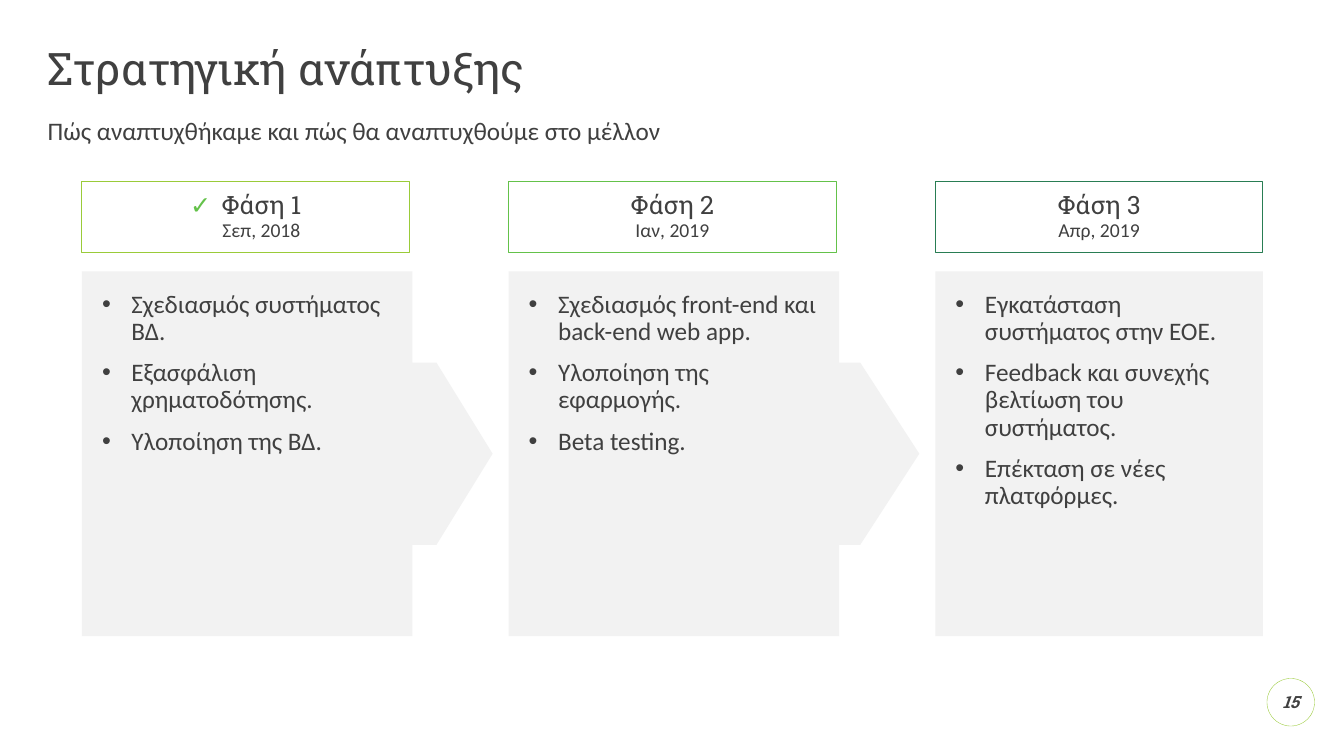
from lxml.etree import SubElement
from pptx import Presentation
from pptx.dml.color import RGBColor
from pptx.enum.shapes import MSO_SHAPE
from pptx.enum.text import MSO_ANCHOR, PP_ALIGN
from pptx.oxml.ns import qn
from pptx.util import Pt

COLORS = {"text": "404040", "panel": "F2F2F2", "lime": "9ACB39",
          "green": "64C24A", "forest": "297D53"}
HEAD_FONT, BODY_FONT = "Roboto Slab", "Calibri"

PHASES = [
    {"name": "Φάση 1", "date": "Σεπ, 2018", "line": "lime", "done": True,
     "head": 0.154,
     "steps": ["Σχεδιασμός συστήματος ΒΔ.", "Εξασφάλιση χρηματοδότησης.",
               "Υλοποίηση της ΒΔ."]},
    {"name": "Φάση 2", "date": "Ιαν, 2019", "line": "green", "done": False,
     "head": 0.162,
     "steps": ["Σχεδιασμός front-end και back-end web app.",
               "Υλοποίηση της εφαρμογής.", "Beta testing."]},
    {"name": "Φάση 3", "date": "Απρ, 2019", "line": "forest", "done": False,
     "head": None,
     "steps": ["Εγκατάσταση συστήματος στην ΕΟΕ.",
               "Feedback και συνεχής βελτίωση του συστήματος.",
               "Επέκταση σε νέες πλατφόρμες."]},
]


def rgb(name):
    return RGBColor.from_string(COLORS[name])


def set_all(obj, **values):
    for name, value in values.items():
        setattr(obj, name, value)


def set_frame(tf, anchor=MSO_ANCHOR.TOP, left=0, top=0, right=0):
    set_all(tf, word_wrap=True, vertical_anchor=anchor, margin_left=Pt(left),
            margin_top=Pt(top), margin_right=Pt(right), margin_bottom=0)


def add_run(p, text, font, size, **style):
    r = p.add_run()
    r.text = text
    set_all(r.font, name=font, size=Pt(size), **style)
    r.font.color.rgb = rgb("text")


def set_bullet(p, char, indent, color=None):
    pPr = p._p.get_or_add_pPr()
    pPr.set("marL", str(Pt(indent)))
    pPr.set("indent", str(-Pt(indent)))
    if color:
        clr = SubElement(pPr, qn("a:buClr"))
        SubElement(clr, qn("a:srgbClr"), val=COLORS[color])
    SubElement(pPr, qn("a:buFont"), typeface="Arial")
    SubElement(pPr, qn("a:buChar"), char=char)


def add_box(s, kind, x, y, w, h, fill=None, line=None, width=0.75):
    sp = s.shapes.add_shape(kind, Pt(x), Pt(y), Pt(w), Pt(h))
    sp.shadow.inherit = False
    if fill:
        sp.fill.solid()
        sp.fill.fore_color.rgb = rgb(fill)
    else:
        sp.fill.background()
    if line:
        sp.line.color.rgb = rgb(line)
        sp.line.width = Pt(width)
    else:
        sp.line.fill.background()
    return sp


def add_heading(s, x, y, w):
    # Title
    title = s.shapes.title
    set_all(title, left=Pt(x), top=Pt(y), width=Pt(w), height=Pt(34))
    set_frame(title.text_frame, MSO_ANCHOR.MIDDLE)
    p = title.text_frame.paragraphs[0]
    set_all(p, alignment=PP_ALIGN.LEFT, line_spacing=0.9)
    add_run(p, "Στρατηγική ανάπτυξης", HEAD_FONT, 32)
    # Subtitle
    tf = s.shapes.add_textbox(Pt(x), Pt(y + 51), Pt(w), Pt(22)).text_frame
    set_frame(tf)
    p = tf.paragraphs[0]
    p.line_spacing = 0.9
    add_run(p, "Πώς αναπτυχθήκαμε και πώς θα αναπτυχθούμε στο μέλλον",
            BODY_FONT, 18)


def add_phase(s, phase, x, y, w):
    # Phase name and date
    sp = add_box(s, MSO_SHAPE.RECTANGLE, x, y, w, 51, line=phase["line"])
    set_frame(sp.text_frame, top=8.6)
    p = sp.text_frame.paragraphs[0]
    set_all(p, alignment=PP_ALIGN.CENTER, line_spacing=0.9)
    if phase["done"]:
        set_bullet(p, "✓", 22.5, "green")
    add_run(p, phase["name"], HEAD_FONT, 18)
    p.add_line_break()
    add_run(p, phase["date"], BODY_FONT, 14)

    # Panel of steps, with an arrow to the next phase
    top, height = y + 64.4, 260.6
    if phase["head"]:
        sp = add_box(s, MSO_SHAPE.RIGHT_ARROW_CALLOUT, x, top, w + 59.4,
                     height, fill="panel")
        for i, value in enumerate((0.5, 0.25, phase["head"], 0.805)):
            sp.adjustments[i] = value
    else:
        sp = add_box(s, MSO_SHAPE.RECTANGLE, x, top, w, height, fill="panel")
    tf = sp.text_frame
    set_frame(tf, left=14.4, top=14.4, right=14.4)
    for i, step in enumerate(phase["steps"]):
        p = tf.add_paragraph() if i else tf.paragraphs[0]
        set_all(p, alignment=PP_ALIGN.LEFT, line_spacing=0.9,
                space_before=Pt(10 if i else 0))
        set_bullet(p, "•", 21)
        add_run(p, step, BODY_FONT, 18)


def add_page_number(s, x, y, size):
    sp = add_box(s, MSO_SHAPE.OVAL, x, y, size, size, line="lime", width=0.25)
    set_frame(sp.text_frame, MSO_ANCHOR.MIDDLE)
    p = sp.text_frame.paragraphs[0]
    p.alignment = PP_ALIGN.CENTER
    add_run(p, "15", HEAD_FONT, 12, bold=True, italic=True)


def main():
    prs = Presentation()
    set_all(prs, slide_width=Pt(960), slide_height=Pt(540))
    s = prs.slides.add_slide(prs.slide_layouts[5])
    add_heading(s, 34, 34, 893)
    for i, phase in enumerate(PHASES):
        add_phase(s, phase, 58.5 + 304.8 * i, 129.4, 234)
    add_page_number(s, 905, 484.6, 34)
    prs.save("out.pptx")


if __name__ == "__main__":
    main()
